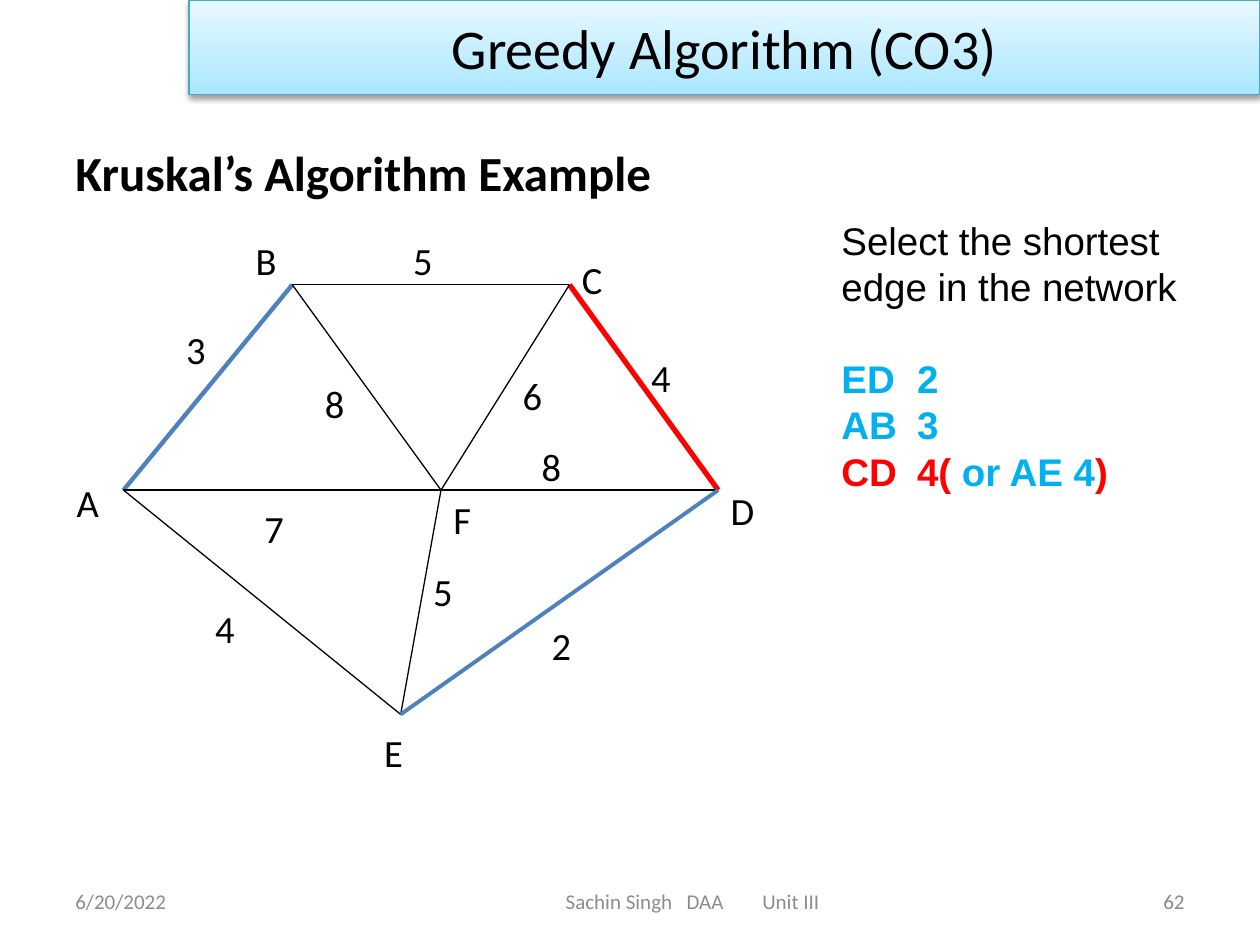
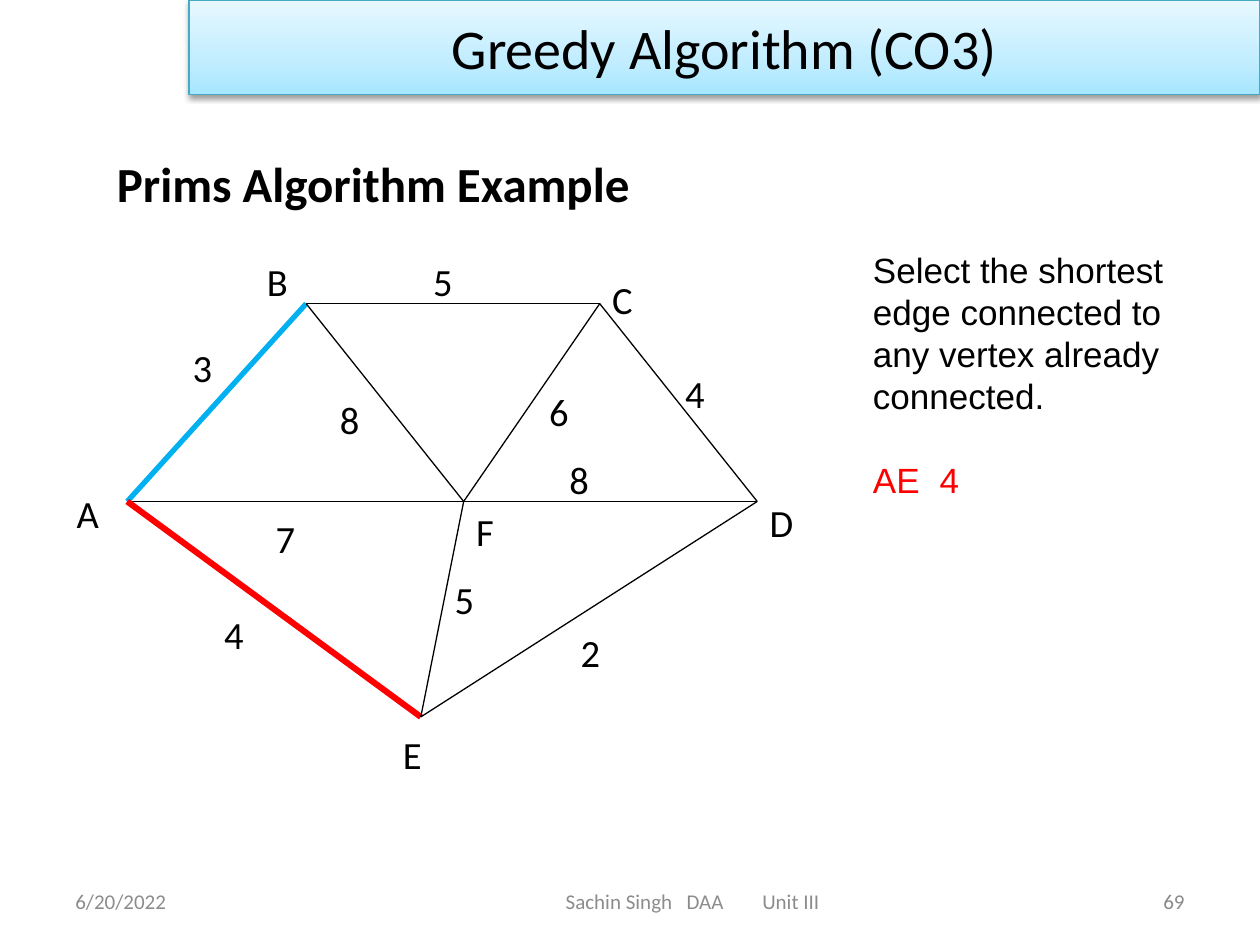
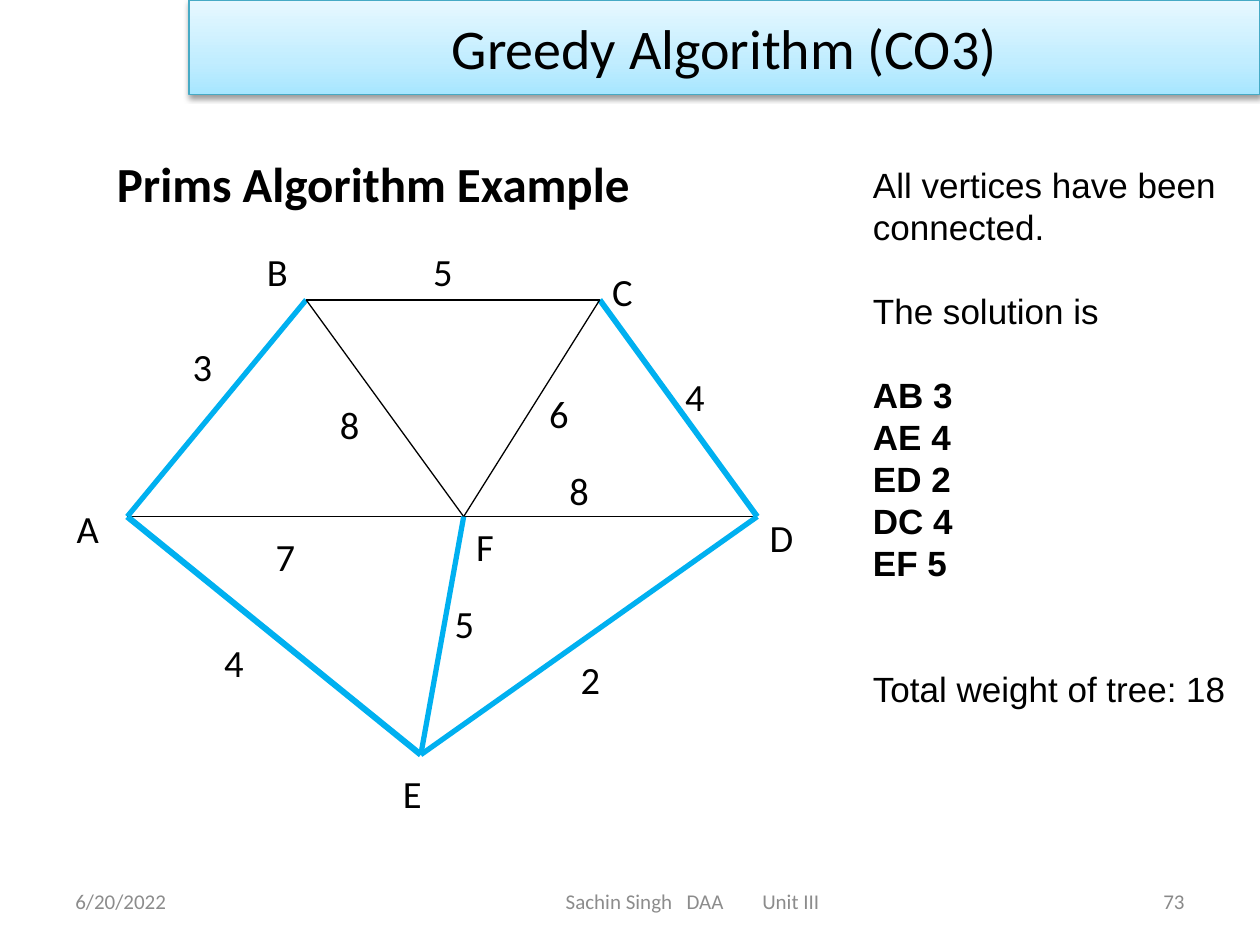
from dataclasses import dataclass
from typing import Any

import lxml.etree
import pptx
import pptx.dml.color
import pptx.enum.shapes
import pptx.enum.text
import pptx.oxml
import pptx.oxml.ns
import pptx.util

SCALE = 9144
BLACK, RED, SKY, BLUE = "000000", "FF0000", "00B0F0", "4F81BD"
GREY, PALE = "8C8C8C", "898989"
SANS, BODY = "Arial", "Calibri"
LEAD = 1.2
ALIGN = pptx.enum.text.PP_ALIGN
MIDDLE = pptx.enum.text.MSO_ANCHOR.MIDDLE
DRAW = pptx.oxml.ns.nsdecls("a")

GLOW = f"""<a:gradFill {DRAW} rotWithShape="1"><a:gsLst>
<a:gs pos="0"><a:srgbClr val="A7E6FF"/></a:gs>
<a:gs pos="35000"><a:srgbClr val="C1EDFF"/></a:gs>
<a:gs pos="100000"><a:srgbClr val="E7F8FF"/></a:gs>
</a:gsLst><a:lin ang="16200000" scaled="1"/></a:gradFill>"""
SHADE = f"""<a:effectLst {DRAW}>
<a:outerShdw blurRad="40000" dist="20000" dir="5400000" rotWithShape="0">
<a:srgbClr val="000000"><a:alpha val="38000"/></a:srgbClr>
</a:outerShdw></a:effectLst>"""


@dataclass(frozen=True)
class Box:
    left: int
    top: int
    width: int
    height: int


@dataclass(frozen=True)
class Style:
    size: int
    face: str = BODY
    color: str = BLACK
    bold: bool = False


@dataclass(frozen=True)
class Node:
    x: int
    y: int
    tag_x: int
    tag_y: int


@dataclass(frozen=True)
class Edge:
    ends: str
    weight: int
    tag_x: int
    tag_y: int


@dataclass(frozen=True)
class Pen:
    color: str = BLACK
    width: float = 0.75


@dataclass(frozen=True)
class Bit:
    text: str
    color: str = BLACK
    bold: bool = False


@dataclass(frozen=True)
class Row:
    bits: tuple[Bit, ...]
    skip: int = 0


@dataclass(frozen=True)
class Graph:
    top: int
    wide: float
    high: float
    tag: int
    pens: dict[str, Pen]

    def place(self, x: int, y: int) -> tuple[int, int]:
        return round(51 + x * self.wide), round(self.top + y * self.high)


@dataclass(frozen=True)
class Page:
    number: int
    head: str
    head_box: Box
    graph: Graph
    note_box: Box
    size: int
    rows: tuple[Row, ...]
    stops: tuple[int, ...] = ()


NODES = {
    "A": Node(47, 206, 0, 192),
    "F": Node(299, 206, 299, 206),
    "B": Node(181, 43, 142, 0),
    "C": Node(401, 43, 401, 15),
    "D": Node(519, 206, 519, 199),
    "E": Node(267, 384, 244, 391),
}
EDGES = (
    Edge("AB", 3, 87, 71),
    Edge("BC", 5, 267, 0),
    Edge("CD", 4, 456, 93),
    Edge("AF", 7, 149, 213),
    Edge("FD", 8, 369, 164),
    Edge("BF", 8, 197, 114),
    Edge("FC", 6, 354, 107),
    Edge("AE", 4, 110, 292),
    Edge("EF", 5, 283, 263),
    Edge("ED", 2, 377, 306),
)


def row(text: str, color: str = BLACK, bold: bool = False, skip: int = 0) -> Row:
    return Row((Bit(text, color, bold),), skip)


PAGES = (
    Page(
        62, "Kruskal’s Algorithm Example", Box(50, 108, 608, 57),
        Graph(183, 1, 1, 47, {"AB": Pen(BLUE, 2.5), "CD": Pen(RED, 3), "ED": Pen(BLUE, 2.25)}),
        Box(658, 167, 292, 299), 22,
        (
            row("Select the shortest"),
            row("edge in the network"),
            row("ED\t2", SKY, True, 1),
            row("AB\t3", SKY, True),
            Row((Bit("CD\t4( ", RED, True), Bit("or AE 4", SKY, True), Bit(")", RED, True))),
        ),
        (60,),
    ),
    Page(
        69, "Prims Algorithm Example", Box(83, 117, 566, 57),
        Graph(200, 1.06, 0.96, 50, {"AB": Pen(SKY, 3), "AE": Pen(RED, 3.5)}),
        Box(683, 192, 292, 313), 20,
        (
            row("Select the shortest"),
            row("edge connected to"),
            row("any vertex already"),
            row("connected."),
            row("AE\t4", RED, skip=1),
        ),
        (53,),
    ),
    Page(
        73, "Prims Algorithm Example", Box(83, 117, 566, 57),
        Graph(192, 1.06, 1.06, 50, {
            "AB": Pen(SKY, 3), "CD": Pen(SKY, 3.25), "AE": Pen(SKY, 3.5),
            "EF": Pen(SKY, 3), "ED": Pen(SKY, 3),
        }),
        Box(683, 125, 300, 481), 20,
        (
            row("All vertices have been"),
            row("connected."),
            row("The solution is", skip=1),
            row("AB 3", bold=True, skip=1),
            *(row(text, bold=True) for text in ("AE 4", "ED 2", "DC 4", "EF 5")),
            row("Total weight of tree: 18", skip=2),
        ),
    ),
)


def px(count: int) -> pptx.util.Emu:
    return pptx.util.Emu(count * SCALE)


def ink(code: str) -> pptx.dml.color.RGBColor:
    return pptx.dml.color.RGBColor.from_string(code)


def apply(thing: Any, values: dict[str, Any]) -> None:
    for name, value in values.items():
        setattr(thing, name, value)


def write(para: Any, text: str, style: Style) -> None:
    run = para.add_run()
    run.text = text
    apply(run.font, {"size": pptx.util.Pt(style.size), "name": style.face, "bold": style.bold})
    run.font.color.rgb = ink(style.color)


def add_stops(para: Any, stops: tuple[int, ...]) -> None:
    if stops:
        tabs = lxml.etree.SubElement(para._p.get_or_add_pPr(), pptx.oxml.ns.qn("a:tabLst"))
        for stop in stops:
            tab = lxml.etree.SubElement(tabs, pptx.oxml.ns.qn("a:tab"))
            tab.set("pos", str(px(stop)))
            tab.set("algn", "l")


def add_frame(shapes: Any, box: Box, **values: Any) -> Any:
    shape = shapes.add_textbox(px(box.left), px(box.top), px(box.width), px(box.height))
    apply(shape.text_frame, {"word_wrap": True, **values})
    return shape.text_frame


def add_label(shapes: Any, box: Box, text: str, style: Style,
              align: Any = ALIGN.LEFT, stops: tuple[int, ...] = (), **values: Any) -> None:
    para = add_frame(shapes, box, **values).paragraphs[0]
    para.alignment = align
    add_stops(para, stops)
    write(para, text, style)


def add_title(slide: Any) -> None:
    title = slide.shapes.title
    apply(title, {"left": px(150), "top": px(0), "width": px(850), "height": px(75)})
    props = title._element.spPr
    props.append(pptx.oxml.parse_xml(GLOW))
    title.line.color.rgb = ink("46AAC5")
    title.line.width = pptx.util.Pt(0.75)
    props.append(pptx.oxml.parse_xml(SHADE))
    apply(title.text_frame, {
        "word_wrap": True,
        "vertical_anchor": MIDDLE,
        "auto_size": pptx.enum.text.MSO_AUTO_SIZE.NONE,
    })
    para = title.text_frame.paragraphs[0]
    para.alignment = ALIGN.CENTER
    write(para, "Greedy Algorithm (CO3)", Style(32))


def add_foot(shapes: Any, number: int) -> None:
    small = Style(12, color=GREY)
    add_label(shapes, Box(50, 695, 233, 40), "6/20/2022", small, vertical_anchor=MIDDLE)
    add_label(shapes, Box(275, 695, 550, 40), "Sachin Singh\tDAA\tUnit III", small,
              stops=(96, 156), vertical_anchor=MIDDLE, margin_left=px(174))
    add_label(shapes, Box(717, 695, 233, 40), str(number), Style(12, color=PALE),
              ALIGN.RIGHT, vertical_anchor=MIDDLE)


def add_edge(shapes: Any, start: tuple[int, int], end: tuple[int, int], pen: Pen) -> None:
    line = shapes.add_connector(pptx.enum.shapes.MSO_CONNECTOR.STRAIGHT,
                                *(px(value) for value in start + end))
    line.line.color.rgb = ink(pen.color)
    line.line.width = pptx.util.Pt(pen.width)
    lxml.etree.SubElement(line._element.spPr, pptx.oxml.ns.qn("a:effectLst"))


def add_graph(shapes: Any, graph: Graph) -> None:
    group = shapes.add_group_shape().shapes
    for edge in EDGES:
        start, end = (graph.place(NODES[key].x, NODES[key].y) for key in edge.ends)
        add_edge(group, start, end, graph.pens.get(edge.ends, Pen()))
    tags = [*NODES.items(), *((str(edge.weight), edge) for edge in EDGES)]
    for text, spot in tags:
        left, top = graph.place(spot.tag_x, spot.tag_y)
        add_label(group, Box(left, top, graph.tag, 47), text, Style(22))


def add_note(shapes: Any, page: Page) -> None:
    frame = add_frame(shapes, page.note_box)
    for index, line in enumerate(page.rows):
        para = frame.add_paragraph() if index else frame.paragraphs[0]
        if line.skip:
            para.space_before = pptx.util.Pt(line.skip * page.size * LEAD)
        add_stops(para, page.stops)
        for bit in line.bits:
            write(para, bit.text, Style(page.size, SANS, bit.color, bit.bold))


def main() -> None:
    deck = pptx.Presentation()
    apply(deck, {"slide_width": px(1000), "slide_height": px(750)})
    for page in PAGES:
        slide = deck.slides.add_slide(deck.slide_layouts[5])
        add_foot(slide.shapes, page.number)
        add_title(slide)
        add_label(slide.shapes, page.head_box, page.head, Style(28, bold=True))
        add_graph(slide.shapes, page.graph)
        add_note(slide.shapes, page)
    deck.save("out.pptx")


if __name__ == "__main__":
    main()
